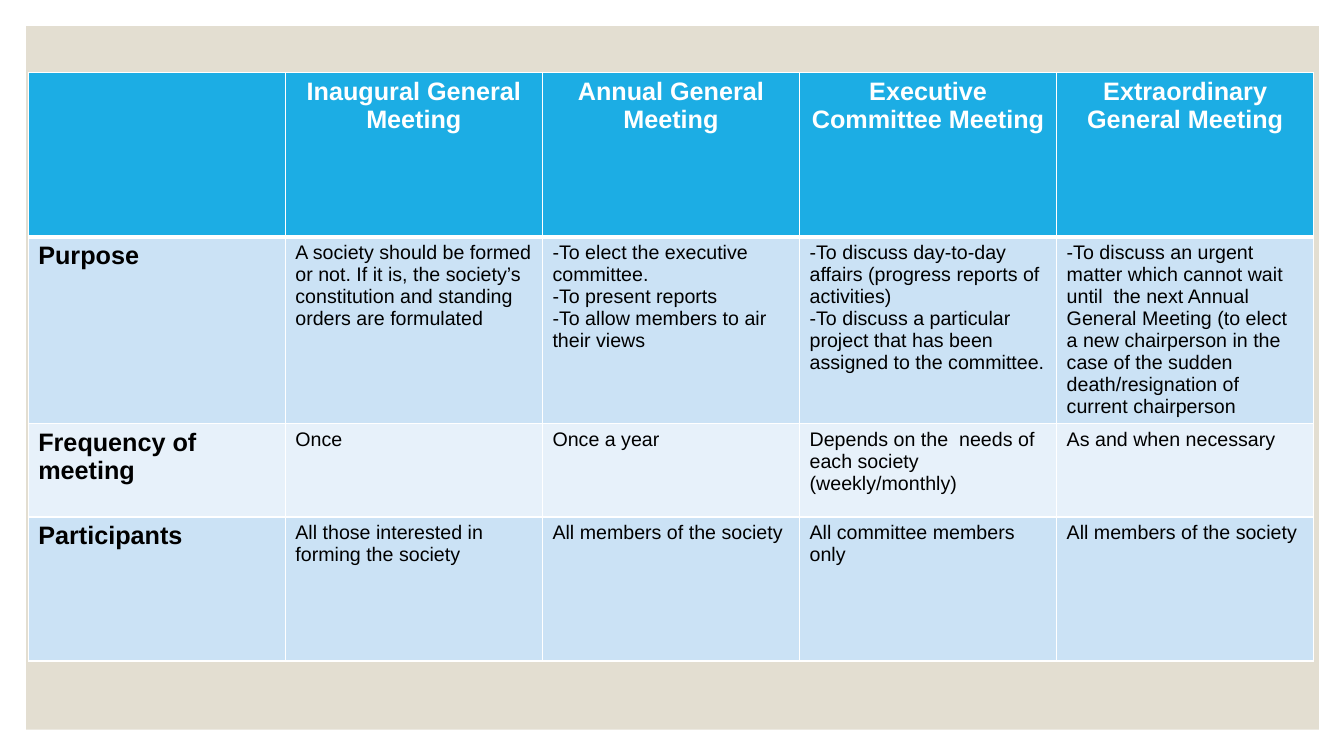
from lxml import etree
from pptx import Presentation, util as u
from pptx.dml.color import RGBColor
from pptx.enum import shapes, text
from pptx.oxml.ns import qn

HEADER, BAND, LIGHT, WHITE, BLACK = "1CADE4", "CBE2F5", "E7F1FA", "FFFFFF", "000000"
ROW_HEIGHTS = [1.63, 1.43, 0.93, 1.43]
ROW_FILLS = [HEADER, BAND, LIGHT, BAND]
COLUMN_WIDTH = 2.55
MEETINGS = [
    ["", "Inaugural General Meeting", "Annual General Meeting",
     "Executive Committee Meeting", "Extraordinary General Meeting"],
    ["Purpose",
     "A society should be formed or not. If it is, the society’s constitution "
     "and standing orders are formulated",
     "-To elect the executive committee.\n-To present reports\n"
     "-To allow members to air their views",
     "-To discuss day-to-day affairs (progress reports of activities)\n"
     "-To discuss a particular project that has been assigned to the committee.",
     "-To discuss an urgent matter which cannot wait until  the next Annual "
     "General Meeting (to elect a new chairperson in the case of the sudden "
     "death/resignation of current chairperson"],
    ["Frequency of meeting", "Once", "Once a year",
     "Depends on the  needs of each society (weekly/monthly)",
     "As and when necessary"],
    ["Participants", "All those interested in forming the society",
     "All members of the society", "All committee members only",
     "All members of the society"],
]


def paint(fill, color):
    fill.solid()
    fill.fore_color.rgb = RGBColor.from_string(color)


def write(frame, content, size=14, bold=False, color=BLACK, align=text.PP_ALIGN.LEFT):
    frame.text = content
    for paragraph in frame.paragraphs:
        paragraph.alignment = align
        paragraph.font.size = u.Pt(size)
        for run in paragraph.runs:
            run.font.name = "Arial"
            run.font.size = u.Pt(size)
            run.font.bold = bold
            paint(run.font.fill, color)


presentation = Presentation()
presentation.slide_width = u.Inches(13.33)
presentation.slide_height = u.Inches(7.5)
slide = presentation.slides.add_slide(presentation.slide_layouts[6])
paint(slide.background.fill, WHITE)

panel = slide.shapes.add_shape(
    shapes.MSO_SHAPE.RECTANGLE,
    u.Inches(0.26), u.Inches(0.26), u.Inches(12.82), u.Inches(6.98))
panel.shadow.inherit = False
paint(panel.fill, "E3DED1")
panel.line.fill.background()

table = slide.shapes.add_table(
    len(MEETINGS), len(MEETINGS[0]), u.Inches(0.28), u.Inches(0.72),
    u.Inches(COLUMN_WIDTH * len(MEETINGS[0])), u.Inches(sum(ROW_HEIGHTS))).table
for column in table.columns:
    column.width = u.Inches(COLUMN_WIDTH)

for r, entries in enumerate(MEETINGS):
    table.rows[r].height = u.Inches(ROW_HEIGHTS[r])
    for c, content in enumerate(entries):
        cell = table.cell(r, c)
        properties = cell._tc.get_or_add_tcPr()
        for side in "LRTB":
            under_header = (r, side) in [(0, "B"), (1, "T")]
            border = etree.SubElement(properties, qn("a:ln" + side),
                                      w=str(u.Pt(3 if under_header else 1)))
            solid = etree.SubElement(border, qn("a:solidFill"))
            etree.SubElement(solid, qn("a:srgbClr"), val=WHITE)
        paint(cell.fill, ROW_FILLS[r])
        if r == 0:
            write(cell.text_frame, content, size=18, bold=True, color=WHITE,
                  align=text.PP_ALIGN.CENTER)
        elif c == 0:
            write(cell.text_frame, content, size=18, bold=True)
        else:
            write(cell.text_frame, content)

presentation.save("out.pptx")
